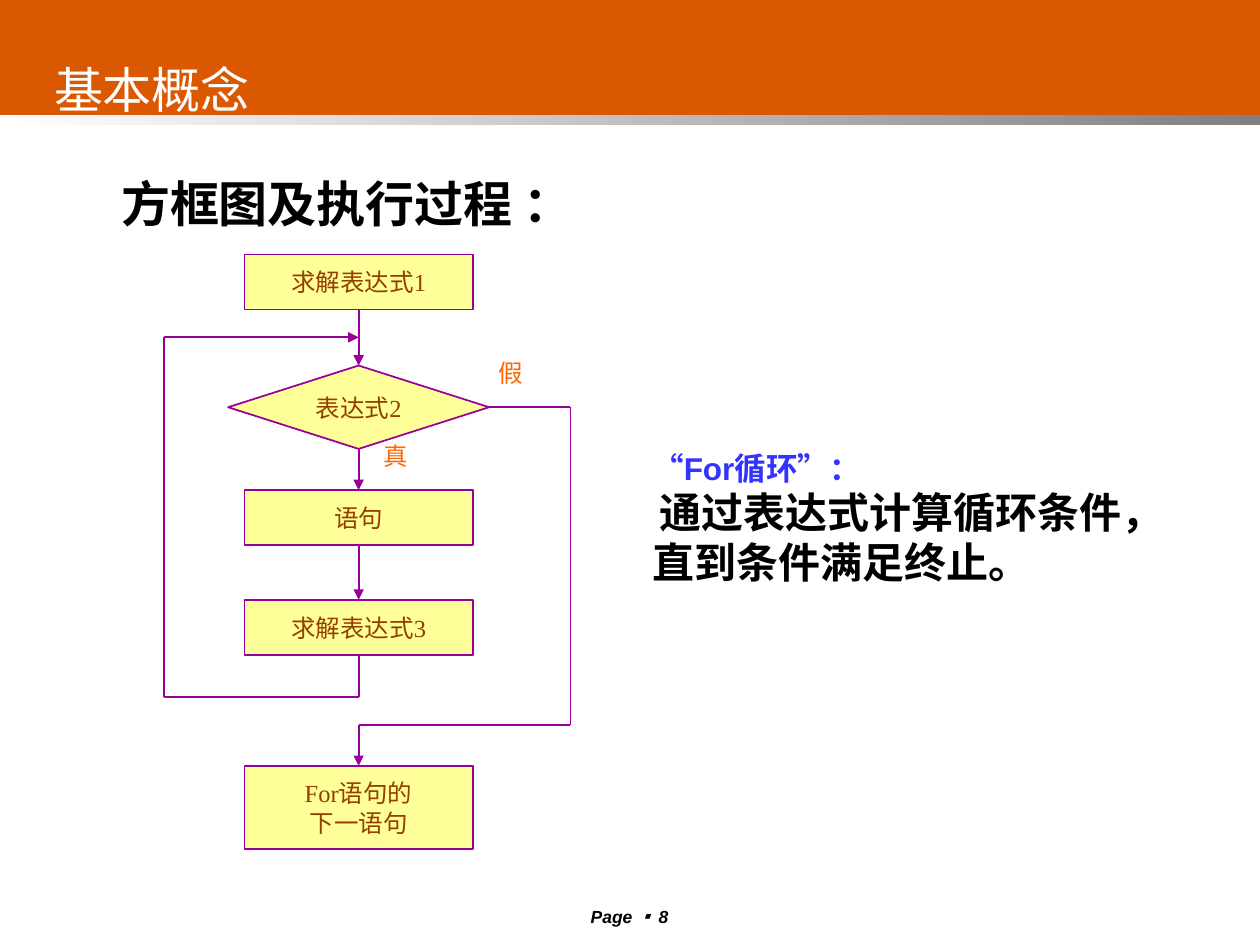
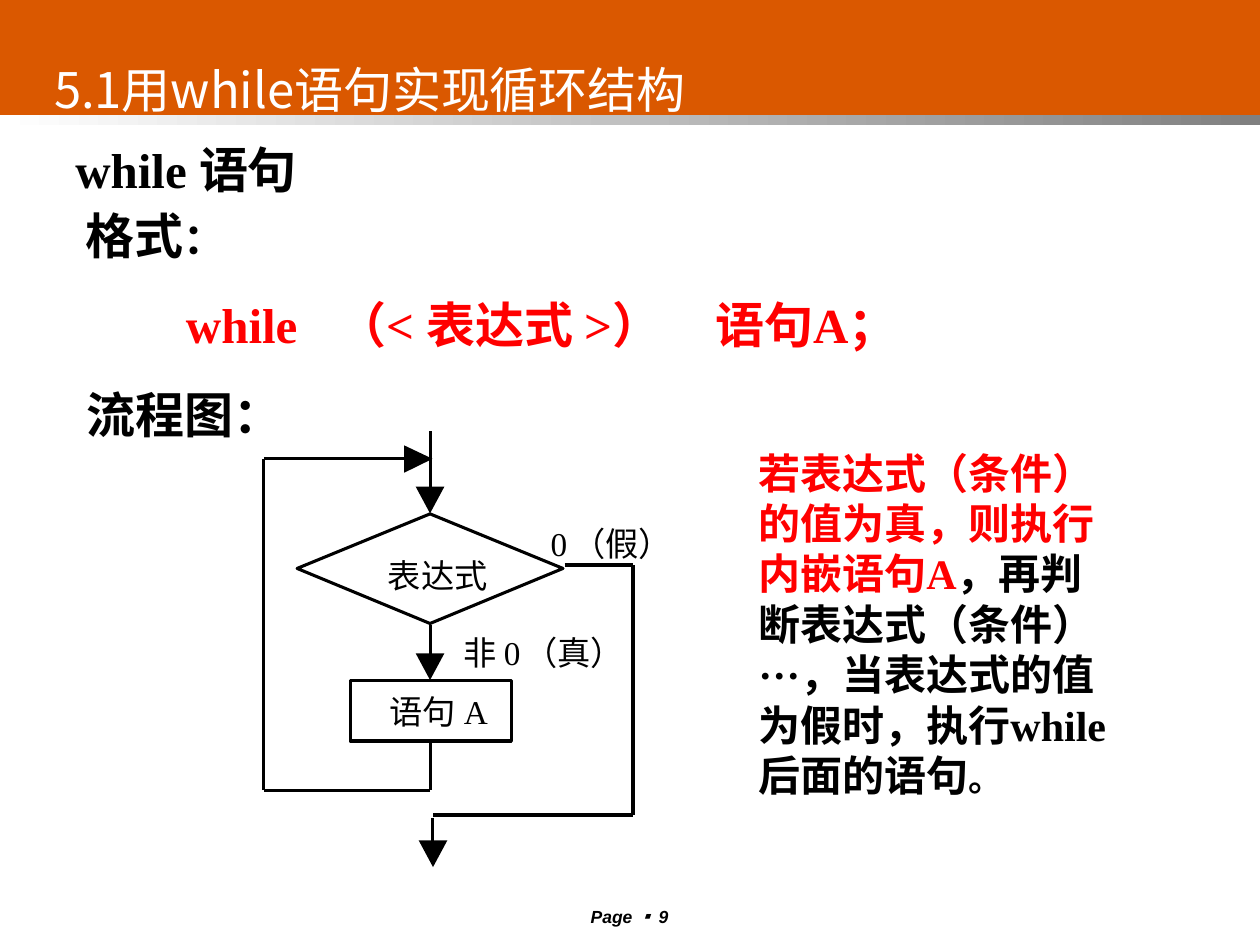
"""Build two slides on loops: the for flowchart and the while statement."""
from itertools import pairwise

from lxml.etree import SubElement
from pptx import Presentation
from pptx.dml.color import RGBColor
from pptx.enum.shapes import MSO_CONNECTOR, MSO_SHAPE
from pptx.enum.text import MSO_ANCHOR, PP_ALIGN
from pptx.oxml.ns import qn
from pptx.util import Cm, Pt

BLACK = RGBColor(0x00, 0x00, 0x00)
WHITE = RGBColor(0xFF, 0xFF, 0xFF)
GREY = RGBColor(0x80, 0x80, 0x80)
RUST = RGBColor(0xDA, 0x58, 0x00)
BROWN = RGBColor(0x96, 0x3D, 0x00)
CREAM = RGBColor(0xFF, 0xFF, 0x99)
PLUM = RGBColor(0x99, 0x00, 0x99)
AMBER = RGBColor(0xFF, 0x66, 0x00)
BLUE = RGBColor(0x33, 0x33, 0xFF)
RED = RGBColor(0xFF, 0x00, 0x00)
ARIAL, ROMAN, MONO = "Arial", "Times New Roman", "Courier New"
HAN, KANJI = "Noto Sans CJK SC", "Noto Sans CJK JP"
LEFT, MID = PP_ALIGN.LEFT, PP_ALIGN.CENTER


def put(shape, lines, align=LEFT, wrap=True, bold=False, slant=False, inset=True):
    """Write lines of (text, size, font, colour) runs into a shape."""
    frame = shape.text_frame
    frame.word_wrap = wrap
    if not inset:
        frame.margin_left = frame.margin_right = Cm(0)
        frame.margin_top = frame.margin_bottom = Cm(0)
    for i, line in enumerate(lines):
        para = frame.add_paragraph() if i else frame.paragraphs[0]
        para.alignment = align
        for text, size, face, tint in line:
            run = para.add_run()
            run.text = text
            font = run.font
            font.size, font.name = Pt(size), face
            font.bold, font.italic = bold, slant
            font.color.rgb = tint
            east = face if face in (HAN, KANJI) else HAN
            SubElement(font._element, qn("a:ea"), typeface=east)
    return frame


def trace(slide, points, tint, width, arrow=False):
    """Join points with straight lines, the last one with an arrowhead if asked."""
    for start, end in pairwise(points):
        line = slide.shapes.add_connector(
            MSO_CONNECTOR.STRAIGHT, *map(Cm, start + end))
        line.line.color.rgb = tint
        line.line.width = Pt(width)
        if arrow and end == points[-1]:
            SubElement(line.line._get_or_add_ln(), qn("a:tailEnd"), type="triangle")
        SubElement(line._element.spPr, qn("a:effectLst"))


deck = Presentation()
deck.slide_width, deck.slide_height = Cm(25.4), Cm(19.05)

slides = []
for page, title in ((8, "基本概念"), (9, "5.1用while语句实现循环结构")):
    slide = deck.slides.add_slide(deck.slide_layouts[6])
    slides.append(slide)
    for top, high in ((0, 2.32), (2.32, 0.2)):
        band = slide.shapes.add_shape(
            MSO_SHAPE.RECTANGLE, Cm(0), Cm(top), Cm(25.4), Cm(high))
        band.shadow.inherit = False
        band.line.fill.background()
        if top:
            band.fill.gradient()
            band.fill.gradient_angle = 0
            for stop, tint in zip(band.fill.gradient_stops, (WHITE, GREY)):
                stop.color.rgb = tint
        else:
            band.fill.solid()
            band.fill.fore_color.rgb = RUST
    foot = slide.shapes.add_textbox(Cm(10.69), Cm(18.14), Cm(4), Cm(0.56))
    put(foot, [[("Page ", 10, ARIAL, BLACK), ("▪ ", 10, KANJI, BLACK),
                (str(page), 10, ARIAL, BLACK)]], MID, bold=True, slant=True)
    head = slide.shapes.add_textbox(Cm(0.84), Cm(0.84), Cm(17.53), Cm(1.9))
    frame = put(head, [[(title, 28, KANJI, WHITE)]], PP_ALIGN.JUSTIFY)
    frame.vertical_anchor = MSO_ANCHOR.MIDDLE

first, second = slides

AXIS = 7.23
steps = (
    (MSO_SHAPE.RECTANGLE, 5.13, 4.6, 1.11, ["求解表达式1"]),
    (MSO_SHAPE.FLOWCHART_DECISION, 7.37, 5.26, 1.68, ["表达式2"]),
    (MSO_SHAPE.RECTANGLE, 9.88, 4.6, 1.11, ["语句"]),
    (MSO_SHAPE.RECTANGLE, 12.09, 4.6, 1.11, ["求解表达式3"]),
    (MSO_SHAPE.RECTANGLE, 15.44, 4.6, 1.68, ["For语句的", "下一语句"]),
)
for kind, top, wide, high, words in steps:
    step = first.shapes.add_shape(
        kind, Cm(AXIS - wide / 2), Cm(top), Cm(wide), Cm(high))
    step.shadow.inherit = False
    step.fill.solid()
    step.fill.fore_color.rgb = CREAM
    step.line.color.rgb = PLUM
    step.line.width = Pt(1)
    frame = put(step, [[(word, 14, ROMAN, BROWN)] for word in words], MID, False)
    frame.vertical_anchor = MSO_ANCHOR.MIDDLE

for path in (
    [(AXIS, 6.24), (AXIS, 7.37)],
    [(AXIS, 9.05), (AXIS, 9.88)],
    [(AXIS, 10.99), (AXIS, 12.09)],
    [(9.86, 8.2), (11.5, 8.2), (11.5, 14.61), (AXIS, 14.61), (AXIS, 15.44)],
    [(AXIS, 13.2), (AXIS, 14.05), (3.3, 14.05), (3.3, 6.8), (AXIS, 6.8)],
):
    trace(first, path, PLUM, 1, True)

for word, left, top in (("假", 9.8, 7.09), ("真", 7.49, 8.76)):
    mark = first.shapes.add_textbox(Cm(left), Cm(top), Cm(0.99), Cm(0.86))
    put(mark, [[(word, 14, ROMAN, AMBER)]], wrap=False)

lead = first.shapes.add_textbox(Cm(1.7), Cm(3.38), Cm(9.6), Cm(1.45))
put(lead, [[("方框图及执行过程 ：", 28, MONO, BLACK)]], MID, False, True)

note = first.shapes.add_textbox(Cm(12.9), Cm(8.92), Cm(10.39), Cm(3.05))
frame = put(note, [
    [("“For循环”：", 18, ARIAL, BLUE)],
    [("通过表达式计算循环条件，直到条件满足终止。", 24, ARIAL, BLACK)],
], bold=True)
frame.paragraphs[1]._p.get_or_add_pPr().set("indent", str(Cm(0.15)))

form = second.shapes.add_textbox(Cm(1.47), Cm(4.01), Cm(19.25), Cm(3.25))
frame = put(form, [
    [("格式", 28, MONO, BLACK), ("：", 24, MONO, BLACK)],
    [("while\t（< 表达式 >）\t语句A；", 28, ROMAN, RED)],
], bold=True)
code = frame.paragraphs[1]
code.space_before, code.space_after = Pt(17.5), Pt(14)
props = code._p.get_or_add_pPr()
props.set("indent", str(Cm(2.03)))
tabs = SubElement(props, qn("a:tabLst"))
for stop in (5.02, 12.9):
    SubElement(tabs, qn("a:tab"), pos=str(Cm(stop)), algn="l")

box = second.shapes.add_shape(
    MSO_SHAPE.RECTANGLE, Cm(7.06), Cm(13.72), Cm(3.25), Cm(1.22))
box.shadow.inherit = False
box.fill.background()
box.line.color.rgb = BLACK
box.line.width = Pt(1.75)

STEM = 8.67
outlines = [(False, [(STEM, 10.36), (5.99, 11.46), (STEM, 12.57), (11.35, 11.46)]),
            (True, [(8.15, 9.53), (8.72, 9.25), (8.15, 8.98)])]
for x, y in ((STEM, 13.71), (STEM, 10.35), (8.73, 17.48)):
    outlines.append((True, [(x - 0.29, y - 0.54), (x, y), (x + 0.29, y - 0.54)]))
for solid, points in outlines:
    spots = [(Cm(x), Cm(y)) for x, y in points]
    pen = second.shapes.build_freeform(*spots[0])
    pen.add_line_segments(spots[1:], close=True)
    shape = pen.convert_to_shape()
    shape.shadow.inherit = False
    if solid:
        shape.fill.solid()
        shape.fill.fore_color.rgb = BLACK
        shape.line.fill.background()
    else:
        shape.fill.background()
        shape.line.color.rgb = BLACK
        shape.line.width = Pt(1.75)

for path in (
    [(STEM, 8.69), (STEM, 9.86)],
    [(STEM, 12.6), (STEM, 13.21)],
    [(STEM, 14.92), (STEM, 15.93), (5.32, 15.93), (5.32, 9.25), (8.2, 9.25)],
    [(11.38, 11.39), (12.76, 11.39), (12.76, 16.43), (8.72, 16.43)],
    [(8.72, 16.48), (8.72, 16.99)],
):
    trace(second, path, BLACK, 1.75)

for word, face, left, top, wide in (
    ("非", HAN, 9.35, 12.75, 0.66),
    ("0", ROMAN, 10.16, 12.75, 0.33),
    ("（真）", HAN, 10.57, 12.75, 2.01),
    ("0", ROMAN, 11.1, 10.54, 0.33),
    ("（假）", HAN, 11.53, 10.54, 2.01),
    ("语句", HAN, 7.85, 13.94, 1.35),
    ("A", ROMAN, 9.35, 13.94, 0.48),
    ("表达式", HAN, 7.82, 11.2, 2.01),
):
    mark = second.shapes.add_textbox(Cm(left), Cm(top), Cm(wide), Cm(0.81))
    put(mark, [[(word, 19, face, BLACK)]], MID, False, inset=False)

lead = second.shapes.add_textbox(Cm(1.5), Cm(7.62), Cm(4.45), Cm(1.45))
put(lead, [[("流程图：", 28, MONO, BLACK)]], MID, False, True)

note = second.shapes.add_textbox(Cm(15.04), Cm(8.89), Cm(7.62), Cm(7.37))
put(note, [[
    ("若表达式（条件）的值为真，则执行内嵌语句A", 24, ROMAN, RED),
    ("，再判断表达式（条件）···，当表达式的值为假时，执行while后面的语句", 24, ROMAN, BLACK),
    ("。", 20, ROMAN, BLACK),
]], bold=True)

topic = second.shapes.add_textbox(Cm(0.74), Cm(2.34), Cm(5.74), Cm(1.8))
frame = put(topic, [[("while ", 28, ROMAN, BLACK), ("语句", 28, HAN, BLACK)]],
            wrap=False, bold=True)
para = frame.paragraphs[0]
para.line_spacing = 1.3
para._p.get_or_add_pPr().set("marL", str(Cm(0.53)))

deck.save("out.pptx")
